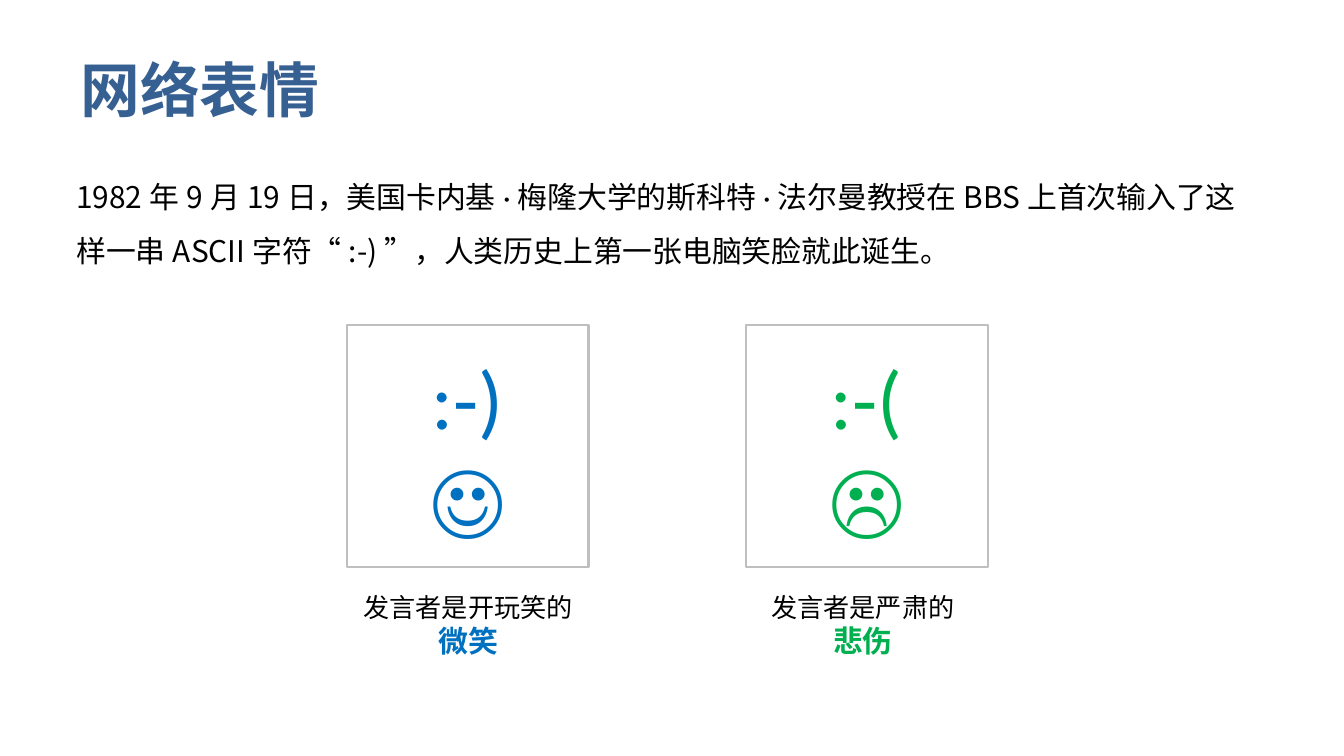
import pptx
import pptx.dml.color
import pptx.enum.shapes
import pptx.enum.text
import pptx.oxml.ns
import pptx.util
import lxml.etree

Pt = pptx.util.Pt
Color = pptx.dml.color.RGBColor
Align = pptx.enum.text.PP_ALIGN
Anchor = pptx.enum.text.MSO_ANCHOR

NAVY = Color(0x37, 0x60, 0x92)
BLACK = Color(0, 0, 0)
WHITE = Color(255, 255, 255)
GREY = Color(0xBF, 0xBF, 0xBF)
BLUE = Color(0x00, 0x70, 0xC0)
GREEN = Color(0x00, 0xB0, 0x50)
SANS = "Noto Sans CJK SC"
LATIN = "Calibri"


class Deck:
    def __init__(self, wide, high):
        self.file = pptx.Presentation()
        self.file.slide_width = Pt(wide)
        self.file.slide_height = Pt(high)
        self.slide = self.file.slides.add_slide(self.file.slide_layouts[6])

    def style(self, para, size, color, name=SANS, bold=False):
        font = para.font
        font.size = Pt(size)
        font.bold = bold
        font.name = name
        font.color.rgb = color
        latin = font._element.find(pptx.oxml.ns.qn("a:latin"))
        asian = lxml.etree.Element(pptx.oxml.ns.qn("a:ea"), typeface=name)
        latin.addnext(asian)

    def text(self, left, top, wide, high, wrap=True):
        box = self.slide.shapes.add_textbox(Pt(left), Pt(top), Pt(wide), Pt(high))
        box.text_frame.word_wrap = wrap
        return box.text_frame

    def title(self, words):
        frame = self.text(36, 21.6, 648, 51.84)
        frame.vertical_anchor = Anchor.MIDDLE
        frame.text = words
        self.style(frame.paragraphs[0], 32, NAVY, bold=True)

    def body(self, parts):
        para = self.text(33.84, 82.8, 641.5, 65.5).paragraphs[0]
        para.line_spacing = 1.5
        self.style(para, 16, BLACK)
        for i, part in enumerate(parts):
            if i:
                dot = para.add_run()
                dot.text = "·"
                dot.font.name = LATIN
            para.add_run().text = part

    def card(self, left, signs, color):
        kind = pptx.enum.shapes.MSO_SHAPE.RECTANGLE
        box = self.slide.shapes.add_shape(
            kind, Pt(left), Pt(174.24), Pt(129.6), Pt(129.6))
        box.shadow.inherit = False
        box.fill.solid()
        box.fill.fore_color.rgb = WHITE
        box.line.color.rgb = GREY
        box.line.width = Pt(1.25)
        frame = box.text_frame
        frame.vertical_anchor = Anchor.MIDDLE
        frame.text = "\n".join(signs)
        for para in frame.paragraphs:
            para.alignment = Align.CENTER
            self.style(para, 44, color, LATIN)

    def label(self, left, wide, note, mood, color):
        frame = self.text(left, 313.2, wide, 43.9, wrap=False)
        frame.text = note + "\n" + mood
        first, last = frame.paragraphs
        first.alignment = last.alignment = Align.CENTER
        self.style(first, 14, BLACK)
        self.style(last, 16, color, bold=True)


def main():
    deck = Deck(720, 405)
    deck.title("网络表情")
    deck.body([
        "1982年9月19日，美国卡内基",
        "梅隆大学的斯科特",
        "法尔曼教授在BBS上首次输入了这样一串ASCII字符“:-)”，人类历史上第一张电脑笑脸就此诞生。",
    ])
    deck.card(185.76, (":-)", "☺"), BLUE)
    deck.card(399.6, (":-(", "☹"), GREEN)
    deck.label(187.2, 127.4, "发言者是开玩笑的", "微笑", BLUE)
    deck.label(405.4, 113.8, "发言者是严肃的", "悲伤", GREEN)
    deck.file.save("out.pptx")


if __name__ == "__main__":
    main()
